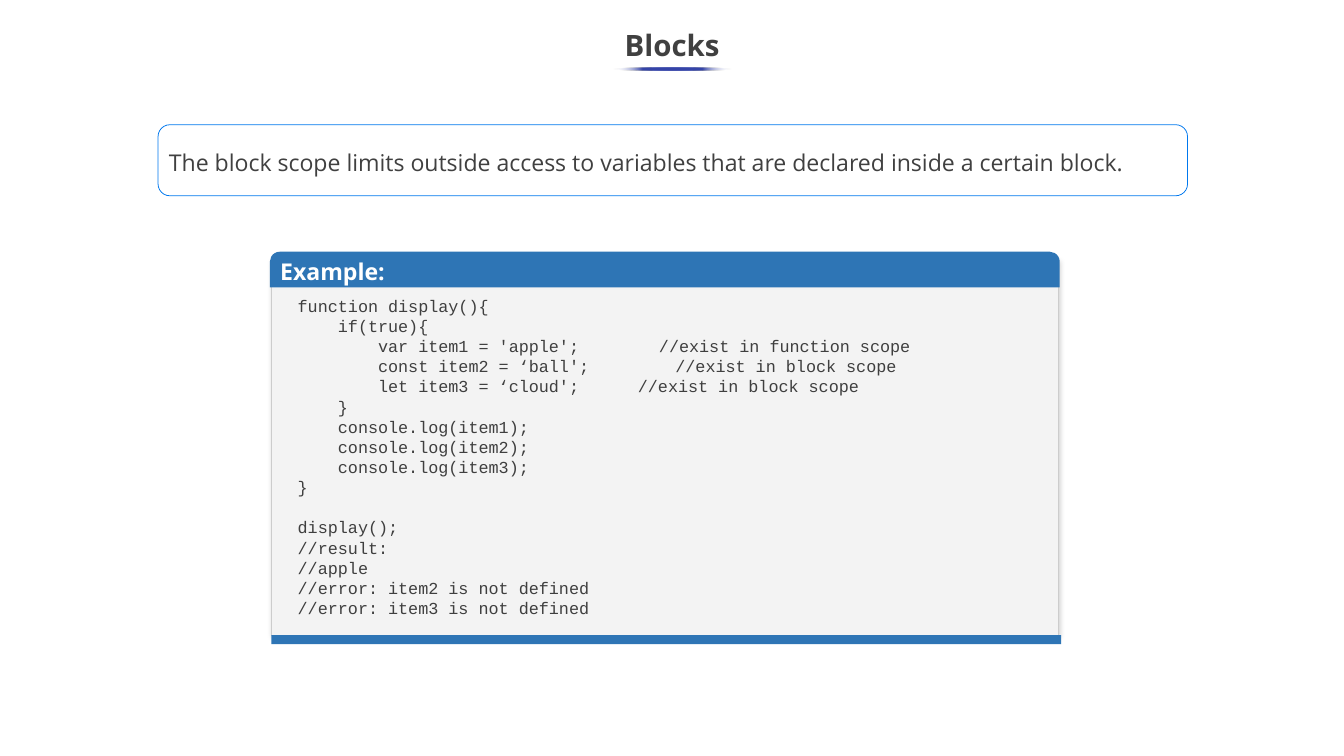
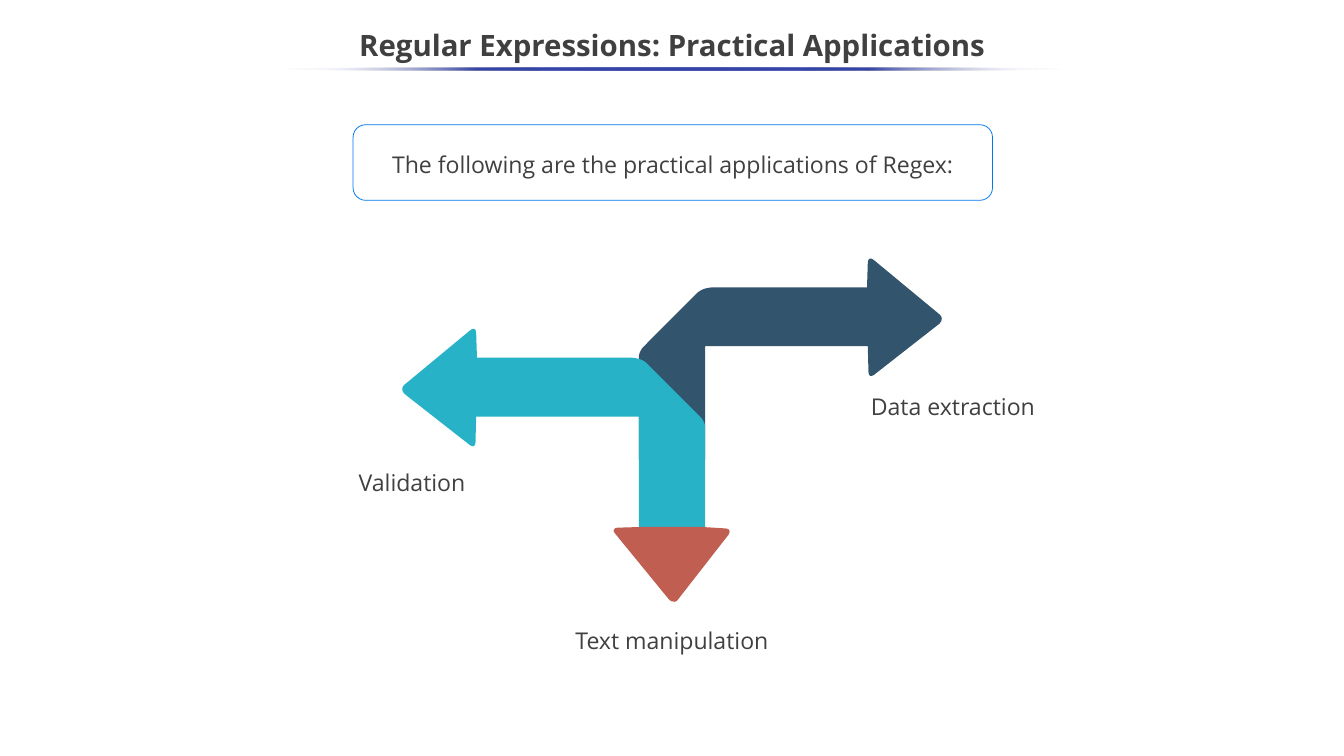
"""Build two slides on scope blocks and the uses of regular expressions."""
from dataclasses import dataclass, replace
from typing import NamedTuple, Optional

from lxml.etree import SubElement as Sub
from pptx import Presentation
from pptx.dml.color import RGBColor as Rgb
from pptx.enum.shapes import MSO_SHAPE as Form
from pptx.enum.text import MSO_ANCHOR as Anchor, MSO_AUTO_SIZE as Auto, PP_ALIGN as Align
from pptx.oxml.ns import qn
from pptx.util import Inches, Length, Pt


@dataclass(frozen=True)
class Theme:
    """Colours, fonts and type sizes."""
    ink: str = "404040"
    code: str = "3F3F3F"
    white: str = "FFFFFF"
    rule: str = "3645A9"
    note: str = "0078EE"
    head: str = "2E75B5"
    card: str = "F3F3F3"
    edge: str = "CCCCCC"
    navy: str = "33546D"
    teal: str = "28B2C7"
    red: str = "C05E51"
    sans: str = "Open Sans"
    mono: str = "Courier New"
    big: float = 28
    mid: float = 22
    small: float = 16
    pitch: float = 19.2


class Box(NamedTuple):
    """A place on the grid of 100 columns and 100 rows."""
    col: float
    row: float
    wide: float
    high: float


@dataclass(frozen=True)
class Style:
    """How a line of text is set."""
    size: float
    hue: str
    font: str
    bold: bool = False
    align: Align = Align.LEFT
    lead: Optional[float] = None


class Line(NamedTuple):
    """A line of code with a remark at a tab stop, in columns."""
    code: str
    remark: str = ""
    stop: float = 0
    gap: bool = False


class Label(NamedTuple):
    """A caption beside an arrow."""
    text: str
    box: Box
    align: Align


T = Theme()
WIDE, HIGH = Inches(17.78), Inches(10)
MID = 50.06
HEAD = Style(T.big, T.ink, T.sans, True, Align.CENTER, 0.9)
BODY = Style(T.mid, T.ink, T.sans, lead=1.15)
BAR = Style(T.mid, T.white, T.sans, True)
CODE = Style(T.small, T.code, T.mono)

LINES = [
    Line("function display(){"),
    Line("    if(true){"),
    Line("        var item1 = 'apple';", "//exist in function scope", 26.88),
    Line("        const item2 = ‘ball';", "//exist in block scope", 28.1),
    Line("        let item3 = ‘cloud';", "//exist in block scope", 25.31),
    Line("    }"),
    Line("    console.log(item1);"),
    Line("    console.log(item2);"),
    Line("    console.log(item3);"),
    Line("}"),
    Line("display();", gap=True),
    Line("//result:"),
    Line("//apple"),
    Line("//error: item2 is not defined"),
    Line("//error: item3 is not defined"),
]

TURN = [
    (47.53, 47.1), (47.58, 46.5, 47.81, 46, 47.81, 46),
    (48.59, 44.6, 51.91, 38.7, 51.91, 38.7), (52.31, 38, 53.15, 38, 53.15, 38),
    (64.51, 38), (64.57, 34.7), (64.57, 34.2, 64.79, 34, 65.02, 34.4),
    (69.91, 41.6), (70.13, 41.9, 70.13, 42.4, 69.91, 42.8),
    (65.02, 49.6), (64.79, 49.9, 64.62, 49.7, 64.62, 49.2),
    (64.57, 45.8), (52.47, 45.8), (52.47, 60.8), (47.53, 60.8),
]
TIP = [
    (49.78, 79.3), (45.78, 70.6), (45.67, 70.4, 45.61, 70.2, 45.67, 70.1),
    (45.73, 69.9, 45.78, 69.8, 45.95, 69.8), (47.75, 69.7), (52.19, 69.7),
    (53.99, 69.9), (54.11, 69.9, 54.22, 70, 54.27, 70.1),
    (54.33, 70.3, 54.27, 70.4, 54.22, 70.7), (50.45, 79.3),
    (50.39, 79.5, 50.28, 79.6, 50.17, 79.6), (50, 79.6, 49.89, 79.5, 49.78, 79.3),
]
LABELS = [
    Label("Data extraction", Box(64.57, 51, 21.26, 5.8), Align.LEFT),
    Label("Validation", Box(13.59, 61.05, 21.26, 5.8), Align.RIGHT),
    Label("Text manipulation", Box(34.67, 81.95, 30.65, 3), Align.CENTER),
]


def across(cols: float) -> Length:
    """Turn columns into a length."""
    return Length(round(WIDE * cols / 100))


def down(rows: float) -> Length:
    """Turn rows into a length."""
    return Length(round(HIGH * rows / 100))


def place(box: Box) -> tuple:
    """Turn a box into left, top, width and height."""
    return across(box.col), down(box.row), across(box.wide), down(box.high)


def center(mid: float, row: float, wide: float, high: float) -> Box:
    """Give a box centred on a column."""
    return Box(mid - wide / 2, row, wide, high)


def paint(shape, fill: Optional[str] = None, line: Optional[str] = None) -> None:
    """Set fill and outline, and drop the shadow."""
    shape.shadow.inherit = False
    if fill:
        shape.fill.solid()
        shape.fill.fore_color.rgb = Rgb.from_string(fill)
    else:
        shape.fill.background()
    if line:
        shape.line.color.rgb = Rgb.from_string(line)
        shape.line.width = Pt(0.75)
    else:
        shape.line.fill.background()


def block(slide, form: Form, box: Box, fill: Optional[str] = None, line: Optional[str] = None):
    """Draw a preset shape."""
    shape = slide.shapes.add_shape(form, *place(box))
    paint(shape, fill, line)
    return shape


def pad(frame, side: float, end: float, anchor: Anchor) -> None:
    """Set wrap, insets in inches and anchor."""
    frame.word_wrap = True
    frame.margin_left = frame.margin_right = Inches(side)
    frame.margin_top = frame.margin_bottom = Inches(end)
    frame.vertical_anchor = anchor


def write(para, text: str, style: Style) -> None:
    """Add one run to a paragraph."""
    para.alignment = style.align
    if style.lead:
        para.line_spacing = style.lead
    run = para.add_run()
    run.text = text
    font = run.font
    font.name, font.size, font.bold = style.font, Pt(style.size), style.bold
    font.color.rgb = Rgb.from_string(style.hue)


def title(slide, text: str, wide: float) -> None:
    """Draw the title and the fading rule below it."""
    frame = slide.shapes.add_textbox(*place(Box(0, 2.5, 100, 7.5))).text_frame
    pad(frame, 0.1, 0.05, Anchor.MIDDLE)
    write(frame.paragraphs[0], text, HEAD)
    rule = block(slide, Form.OVAL, center(50.03, 8.9, wide, 0.4))
    rule.fill.gradient()
    rule.fill.gradient_angle = 180
    stops = next(rule.element.iter(qn("a:gsLst")))
    stops.clear()
    for pos in range(0, 101, 25):
        end = pos in (0, 100)
        stop = Sub(stops, qn("a:gs"), pos=str(pos * 1000))
        hue = Sub(stop, qn("a:srgbClr"), val=T.white if end else T.rule)
        if end:
            Sub(hue, qn("a:alpha"), val="0")


def note(slide, text: str, wide: float, high: float, style: Style) -> None:
    """Draw the framed note under the title."""
    shape = block(slide, Form.ROUNDED_RECTANGLE, center(MID, 16.5, wide, high), line=T.note)
    pad(shape.text_frame, 0.1, 0, Anchor.MIDDLE)
    write(shape.text_frame.paragraphs[0], text, style)


def shade(shape) -> None:
    """Give a shape a soft shadow."""
    cast = Sub(shape.element.spPr.find(qn("a:effectLst")), qn("a:outerShdw"),
               blurRad=str(Pt(4.5)), dist=str(Pt(1.5)), dir=str(47 * 60000), rotWithShape="0")
    hue = Sub(cast, qn("a:srgbClr"), val="000000")
    Sub(hue, qn("a:alpha"), val="20000")


def listing(slide, lines: list[Line]) -> None:
    """Draw the card that holds the code."""
    shade(block(slide, Form.RECTANGLE, Box(20.19, 34.5, 58.55, 49.5), T.card, T.edge))
    bar = block(slide, Form.ROUND_2_SAME_RECTANGLE, Box(20.08, 33.3, 58.77, 4.7), T.head)
    bar.adjustments[0], bar.adjustments[1] = 0.28, 0
    pad(bar.text_frame, 0.1, 0.05, Anchor.MIDDLE)
    write(bar.text_frame.paragraphs[0], "Example:", BAR)
    block(slide, Form.RECTANGLE, Box(20.19, 84, 58.77, 1.2), T.head)
    frame = slide.shapes.add_textbox(*place(Box(21.6, 38.6, 56.07, 31.7))).text_frame
    pad(frame, 0.1, 0.05, Anchor.TOP)
    frame.auto_size = Auto.SHAPE_TO_FIT_TEXT
    for rank, line in enumerate(lines):
        para = frame.add_paragraph() if rank else frame.paragraphs[0]
        para.line_spacing = Pt(T.pitch)
        if line.gap:
            para.space_before = Pt(T.pitch)
        if line.remark:
            tabs = Sub(para._p.get_or_add_pPr(), qn("a:tabLst"))
            Sub(tabs, qn("a:tab"), pos=str(across(line.stop)), algn="l")
        tail = "\t" + line.remark if line.remark else ""
        write(para, line.code + tail, CODE)


def outline(slide, steps: list[tuple], fill: str) -> None:
    """Draw a closed free shape of straight and curved steps."""
    first, *rest = [[(across(col), down(row)) for col, row in zip(step[::2], step[1::2])]
                    for step in steps]
    pen = slide.shapes.build_freeform(*first[0])
    pen.add_line_segments([knots[-1] for knots in rest], close=True)
    shape = pen.convert_to_shape()
    paint(shape, fill)
    for knots, edge in zip(rest, list(shape.element.iter(qn("a:lnTo")))):
        if len(knots) == 3:
            curve = edge.makeelement(qn("a:cubicBezTo"))
            for left, top in knots:
                Sub(curve, qn("a:pt"), x=str(left - shape.left), y=str(top - shape.top))
            edge.getparent().replace(edge, curve)


def mirror(steps: list[tuple], drop: float) -> list[tuple]:
    """Flip steps about the middle column and move them down."""
    return [tuple(num + drop if rank % 2 else 100 - num for rank, num in enumerate(step))
            for step in steps]


def scope(slide) -> None:
    """Build the slide on block scope."""
    title(slide, "Blocks", 8.83)
    note(slide, "The block scope limits outside access to variables that are declared "
         "inside a certain block.", 76.6, 9.4, replace(BODY, lead=1.14))
    listing(slide, LINES)


def regex(slide) -> None:
    """Build the slide on the uses of regular expressions."""
    title(slide, "Regular Expressions: Practical Applications", 58.32)
    note(slide, "The following are the practical applications of Regex:", 47.58, 10,
         replace(BODY, align=Align.CENTER))
    outline(slide, TURN, T.navy)
    outline(slide, mirror(TURN, 9.3), T.teal)
    outline(slide, TIP, T.red)
    for label in LABELS:
        frame = slide.shapes.add_textbox(*place(label.box)).text_frame
        pad(frame, 0.04, 0.04, Anchor.TOP)
        write(frame.paragraphs[0], label.text, replace(BODY, align=label.align))


def main() -> None:
    """Build and save the deck."""
    deck = Presentation()
    deck.slide_width, deck.slide_height = WIDE, HIGH
    for build in (scope, regex):
        build(deck.slides.add_slide(deck.slide_layouts[6]))
    deck.save("out.pptx")


if __name__ == "__main__":
    main()
